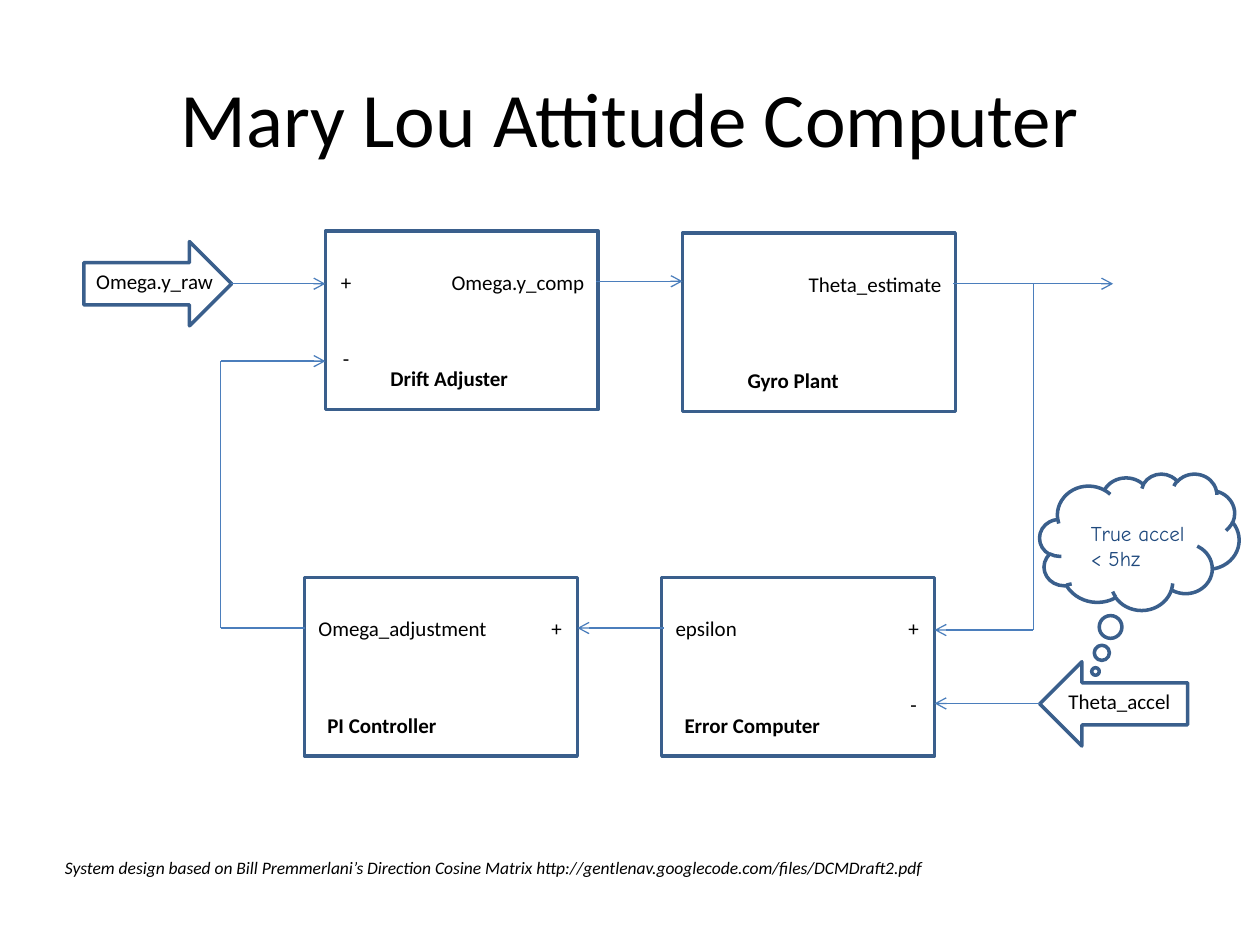
from dataclasses import dataclass
from itertools import pairwise

from lxml import etree
from pptx import Presentation
from pptx import util as u
from pptx.dml.color import RGBColor
from pptx.enum import shapes as kinds
from pptx.enum import text as txt
from pptx.oxml.ns import qn

LEFT, CENTER, RIGHT = txt.PP_ALIGN.LEFT, txt.PP_ALIGN.CENTER, txt.PP_ALIGN.RIGHT


@dataclass(frozen=True)
class Theme:
    body_font: str = "Calibri"
    note_font: str = "Comic Neue"
    ink: RGBColor = RGBColor(0x00, 0x00, 0x00)
    note_ink: RGBColor = RGBColor(0x1F, 0x49, 0x7D)
    outline: RGBColor = RGBColor(0x3A, 0x5F, 0x8C)
    wire: RGBColor = RGBColor(0x4B, 0x7E, 0xBC)
    outline_width: float = 2
    wire_width: float = 0.75
    title_size: float = 44
    label_size: float = 12
    credit_size: float = 10
    sign_gap: float = 29.3


@dataclass(frozen=True)
class Area:
    left: float
    top: float
    width: float
    height: float

    def lengths(self) -> tuple:
        return tuple(u.Cm(v) for v in (self.left, self.top, self.width, self.height))


@dataclass(frozen=True)
class Block:
    name: str
    output: str
    left: float
    top: float
    signs: tuple = ()
    feedback: bool = False
    output_width: float = 3.35


@dataclass(frozen=True)
class Wire:
    points: tuple
    arrow: bool = True


@dataclass(frozen=True)
class Source:
    label: str
    kind: kinds.MSO_SHAPE
    left: float
    top: float
    label_left: float
    label_width: float


THEME = Theme()
BLOCK_WIDTH, BLOCK_HEIGHT = 5.5, 3.6
LABEL_HEIGHT, SIGN_WIDTH = 0.76, 0.84

BLOCKS = (
    Block("Drift Adjuster", "Omega.y_comp", 6.56, 4.66, ("+", "-")),
    Block("Gyro Plant", "Theta_estimate", 13.76, 4.7),
    Block("Error Computer", "epsilon", 13.34, 11.64, ("+", "-"), True),
    Block("PI Controller", "Omega_adjustment", 6.14, 11.64, ("+",), True, 4.4),
)
SOURCES = (
    Source("Omega.y_raw", kinds.MSO_SHAPE.RIGHT_ARROW, 1.69, 4.87, 1.69, 2.96),
    Source("Theta_accel", kinds.MSO_SHAPE.LEFT_ARROW, 20.96, 13.34, 21.29, 2.64),
)
WIRES = (
    Wire(((4.66, 5.72), (6.56, 5.72))),
    Wire(((12.02, 5.67), (13.76, 5.67))),
    Wire(((19.22, 5.72), (22.44, 5.72))),
    Wire(((20.83, 5.72), (20.83, 12.7), (18.84, 12.7))),
    Wire(((20.96, 14.18), (18.84, 14.18))),
    Wire(((13.38, 12.66), (11.64, 12.66))),
    Wire(((6.14, 12.66), (4.45, 12.66), (4.45, 7.28), (6.56, 7.28))),
)


def add_text(slide, area: Area, lines: tuple, size: float = THEME.label_size,
             font: str = THEME.body_font, color: RGBColor = THEME.ink,
             align: txt.PP_ALIGN = LEFT, bold: bool = False, italic: bool = False,
             gap: float = 0, wrap: bool = True,
             anchor: txt.MSO_ANCHOR = txt.MSO_ANCHOR.TOP) -> None:
    frame = slide.shapes.add_textbox(*area.lengths()).text_frame
    frame.word_wrap = wrap
    frame.vertical_anchor = anchor
    for index, line in enumerate(lines):
        paragraph = frame.add_paragraph() if index else frame.paragraphs[0]
        paragraph.alignment = align
        if index and gap:
            paragraph.space_before = u.Pt(gap)
        run = paragraph.add_run()
        run.text = line
        run.font.name = font
        run.font.size = u.Pt(size)
        run.font.bold = bold
        run.font.italic = italic
        run.font.color.rgb = color


def add_outline(slide, kind: kinds.MSO_SHAPE, area: Area):
    outline = slide.shapes.add_shape(kind, *area.lengths())
    outline.shadow.inherit = False
    outline.fill.background()
    outline.line.color.rgb = THEME.outline
    outline.line.width = u.Pt(THEME.outline_width)
    return outline


def draw_block(slide, block: Block) -> None:
    add_outline(slide, kinds.MSO_SHAPE.RECTANGLE,
                Area(block.left, block.top, BLOCK_WIDTH, BLOCK_HEIGHT))
    name_left = block.left + (0.21 if block.feedback else 1.06)
    add_text(slide, Area(name_left, block.top + 2.59, 4.24, LABEL_HEIGHT),
             (block.name,), bold=True)
    signal_top = block.top + 0.64
    right = block.left + BLOCK_WIDTH
    output_left = block.left + 0.03 if block.feedback else right - 0.03 - block.output_width
    add_text(slide, Area(output_left, signal_top, block.output_width, LABEL_HEIGHT),
             (block.output,), align=LEFT if block.feedback else RIGHT)
    if block.signs:
        sign_left = right - SIGN_WIDTH if block.feedback else block.left
        add_text(slide, Area(sign_left, signal_top, SIGN_WIDTH, 2.31),
                 block.signs, align=CENTER, gap=THEME.sign_gap)


def draw_source(slide, source: Source) -> None:
    add_outline(slide, source.kind, Area(source.left, source.top, 2.98, 1.7))
    add_text(slide, Area(source.label_left, source.top + 0.42, source.label_width, LABEL_HEIGHT),
             (source.label,))


def draw_wire(slide, wire: Wire) -> None:
    for start, end in pairwise(wire.points):
        segment = slide.shapes.add_connector(
            kinds.MSO_CONNECTOR.STRAIGHT, *(u.Cm(v) for v in start + end))
        segment.line.color.rgb = THEME.wire
        segment.line.width = u.Pt(THEME.wire_width)
        if wire.arrow and end == wire.points[-1]:
            etree.SubElement(segment.line._get_or_add_ln(), qn("a:tailEnd"), type="arrow")
        etree.SubElement(segment._element.spPr, qn("a:effectLst"))


def main() -> None:
    deck = Presentation()
    deck.slide_width, deck.slide_height = u.Cm(25.4), u.Cm(19.05)
    slide = deck.slides.add_slide(deck.slide_layouts[6])

    add_text(slide, Area(1.27, 0.76, 22.86, 3.18), ("Mary Lou Attitude Computer",),
             size=THEME.title_size, align=CENTER, anchor=txt.MSO_ANCHOR.MIDDLE)
    for block in BLOCKS:
        draw_block(slide, block)
    for source in SOURCES:
        draw_source(slide, source)
    for wire in WIRES:
        draw_wire(slide, wire)

    thought = add_outline(slide, kinds.MSO_SHAPE.CLOUD_CALLOUT, Area(20.96, 9.55, 4.02, 2.75))
    thought.adjustments[0], thought.adjustments[1] = -0.22, 0.95
    add_text(slide, Area(21.74, 10.36, 2.6, 1.28), ("True accel", "< 5hz"),
             font=THEME.note_font, color=THEME.note_ink, wrap=False)
    add_text(slide, Area(1.06, 17.15, 19.47, 0.68),
             ("System design based on Bill Premmerlani’s Direction Cosine Matrix "
              "http://gentlenav.googlecode.com/files/DCMDraft2.pdf",),
             size=THEME.credit_size, italic=True)
    deck.save("out.pptx")


if __name__ == "__main__":
    main()
